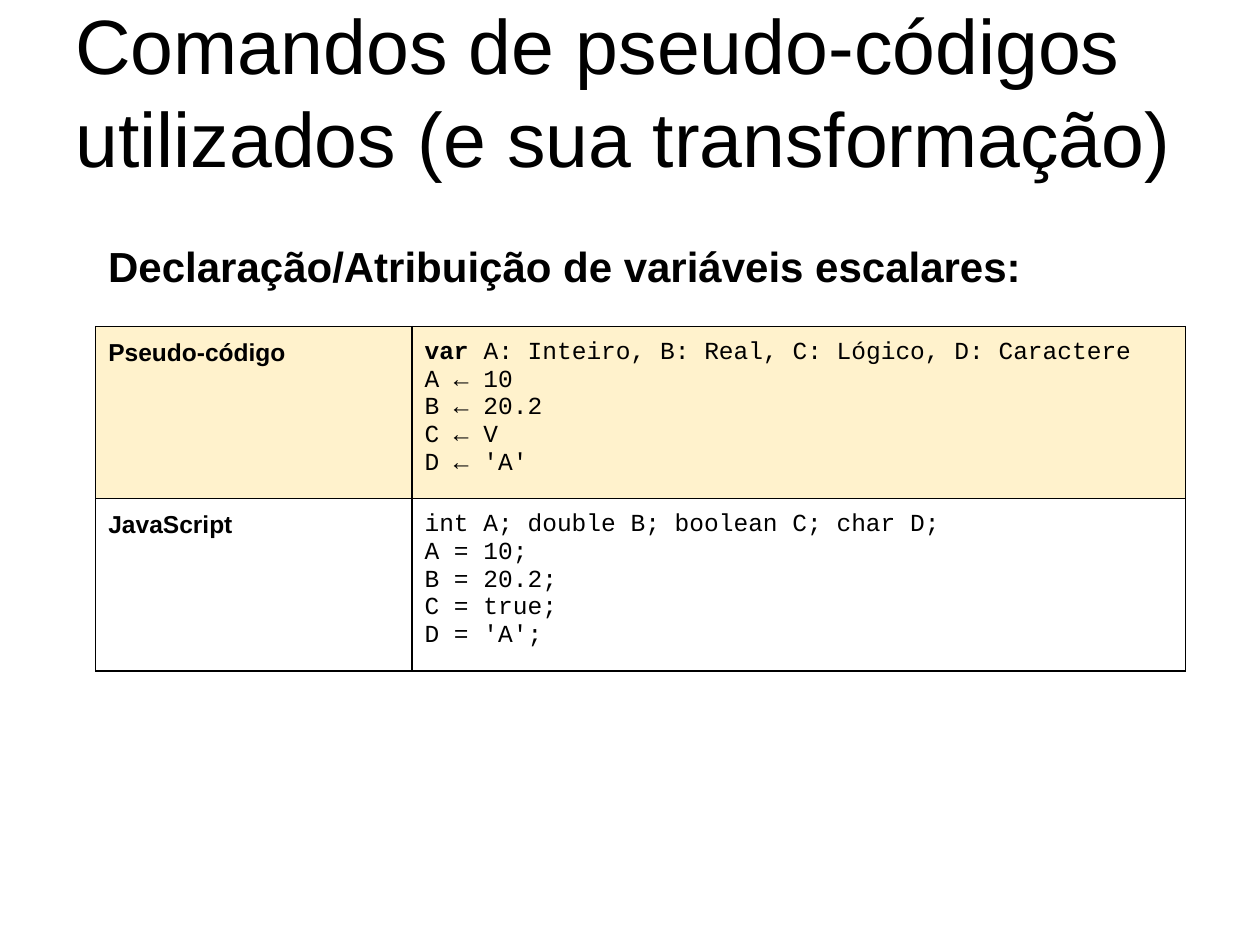
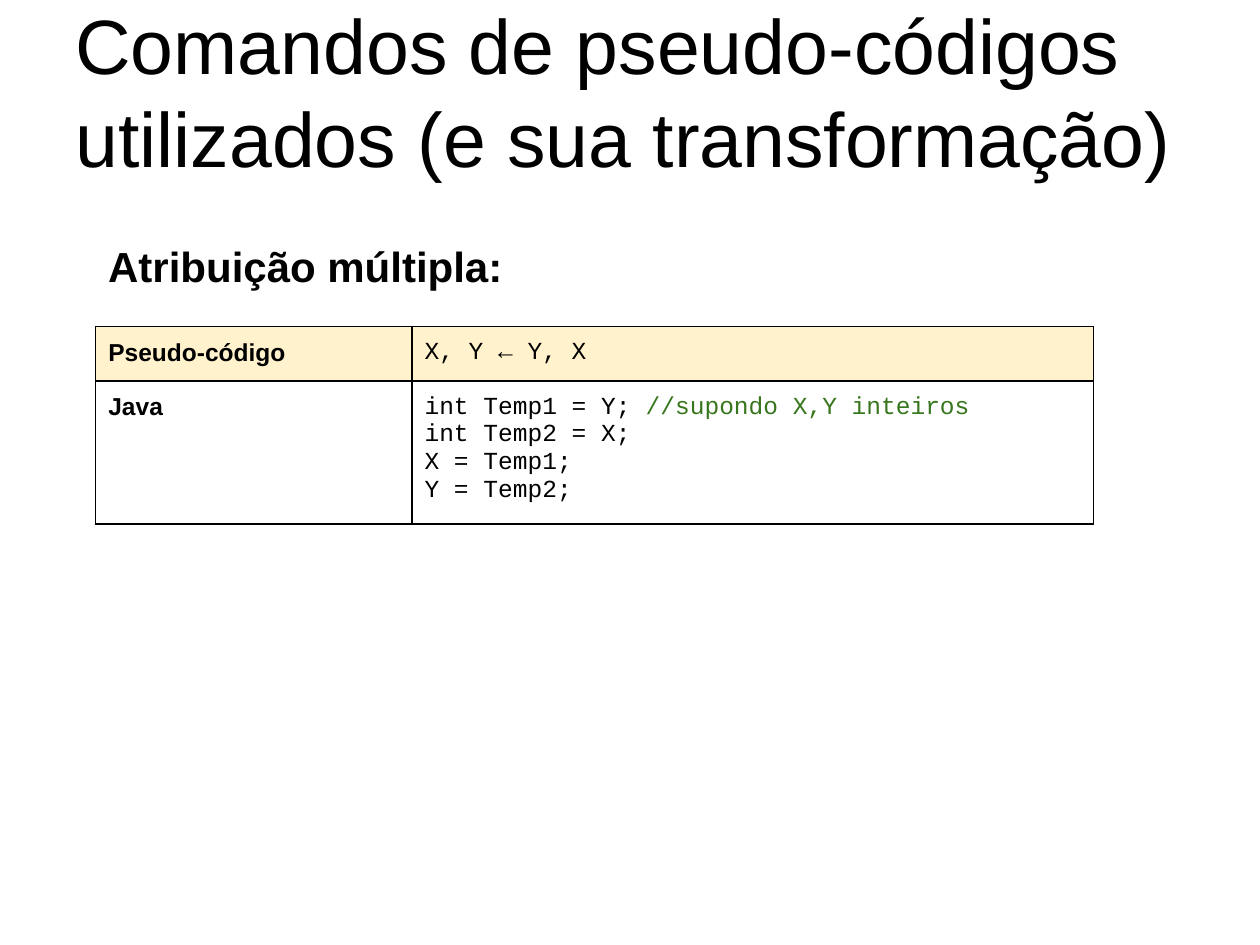
"""Builds two slides that compare pseudo-code with program code."""
from lxml import etree
from pptx import Presentation
from pptx.dml.color import RGBColor
from pptx.enum.text import MSO_ANCHOR
from pptx.oxml.ns import qn
from pptx.util import Inches, Pt

TOP, BOTTOM = MSO_ANCHOR.TOP, MSO_ANCHOR.BOTTOM
COLORS = {"text": "000000", "band": "FFF2CC", "comment": "38761D"}
SANS, MONO = "Arial", "Courier New"
BLANK = 6
INSET = 0.1
LINE_HEIGHT = 0.22
LABEL_WIDTH = 2.51
TITLE = "Comandos de pseudo-códigos utilizados (e sua transformação)"


class Deck:
    def __init__(self):
        self.prs = Presentation()
        self.prs.slide_width = Inches(10)
        self.prs.slide_height = Inches(7.5)
        self.slide = None

    def run(self, p, text, size, font=SANS, bold=False, color="text"):
        r = p.add_run()
        r.text = text
        r.font.size = Pt(size)
        r.font.name = font
        r.font.bold = bold
        r.font.color.rgb = RGBColor.from_string(COLORS[color])

    def text(self, box, text, size, bold=False, anchor=TOP, spacing=None):
        sp = self.slide.shapes.add_textbox(*map(Inches, box))
        tf = sp.text_frame
        tf.word_wrap = True
        tf.vertical_anchor = anchor
        tf.margin_left = tf.margin_right = Inches(INSET)
        tf.margin_top = tf.margin_bottom = Inches(INSET)
        p = tf.paragraphs[0]
        p.line_spacing = spacing
        self.run(p, text, size, bold=bold)

    def borders(self, cell):
        tc_pr = cell._tc.get_or_add_tcPr()
        for side in ("a:lnL", "a:lnR", "a:lnT", "a:lnB"):
            ln = etree.SubElement(tc_pr, qn(side), w=str(Pt(0.75)))
            fill = etree.SubElement(ln, qn("a:solidFill"))
            etree.SubElement(fill, qn("a:srgbClr"), val=COLORS["text"])

    def cell(self, cell, lines, band, **style):
        cell.margin_left = cell.margin_right = Inches(INSET)
        cell.margin_top = cell.margin_bottom = Inches(INSET)
        self.borders(cell)
        if band:
            cell.fill.solid()
            cell.fill.fore_color.rgb = RGBColor.from_string(COLORS["band"])
        else:
            cell.fill.background()
        tf = cell.text_frame
        for i, line in enumerate(lines):
            p = tf.add_paragraph() if i else tf.paragraphs[0]
            for text, extra in line:
                self.run(p, text, 14, **{**style, **extra})

    def table(self, rows, code_width):
        heights = [2 * INSET + LINE_HEIGHT * len(code) for _, code in rows]
        widths = (LABEL_WIDTH, code_width)
        frame = self.slide.shapes.add_table(
            len(rows), 2, Inches(0.76), Inches(2.59),
            Inches(sum(widths)), Inches(sum(heights)))
        table = frame.table
        table.first_row = table.horz_banding = False
        for column, width in zip(table.columns, widths):
            column.width = Inches(width)
        for i, (label, code) in enumerate(rows):
            table.rows[i].height = Inches(heights[i])
            band = i == 0
            self.cell(table.cell(i, 0), [[(label, {})]], band, bold=True)
            self.cell(table.cell(i, 1), code, band, font=MONO)

    def comparison(self, heading, rows, code_width):
        self.slide = self.prs.slides.add_slide(self.prs.slide_layouts[BLANK])
        self.text((0.76, 1.75, 7.92, 5.43), heading, 24, bold=True, spacing=1.15)
        self.text((0.5, 0.3, 9, 1.25), TITLE, 44, anchor=BOTTOM)
        self.table(rows, code_width)


def plain(*lines):
    return [[(line, {})] for line in lines]


def main():
    deck = Deck()
    declaration = [("var ", {"bold": True}),
                   ("A: Inteiro, B: Real, C: Lógico, D: Caractere", {})]
    deck.comparison("Declaração/Atribuição de variáveis escalares:", [
        ("Pseudo-código",
         [declaration] + plain("A ← 10", "B ← 20.2", "C ← V", "D ← 'A'")),
        ("JavaScript",
         plain("int A; double B; boolean C; char D;",
               "A = 10;", "B = 20.2;", "C = true;", "D = 'A';")),
    ], 6.14)
    first_copy = [("int Temp1 = Y; ", {}),
                  ("//supondo X,Y inteiros", {"color": "comment"})]
    deck.comparison("Atribuição múltipla:", [
        ("Pseudo-código", plain("X, Y ← Y, X")),
        ("Java",
         [first_copy] + plain("int Temp2 = X;", "X = Temp1;", "Y = Temp2;")),
    ], 5.41)
    deck.prs.save("out.pptx")


if __name__ == "__main__":
    main()
